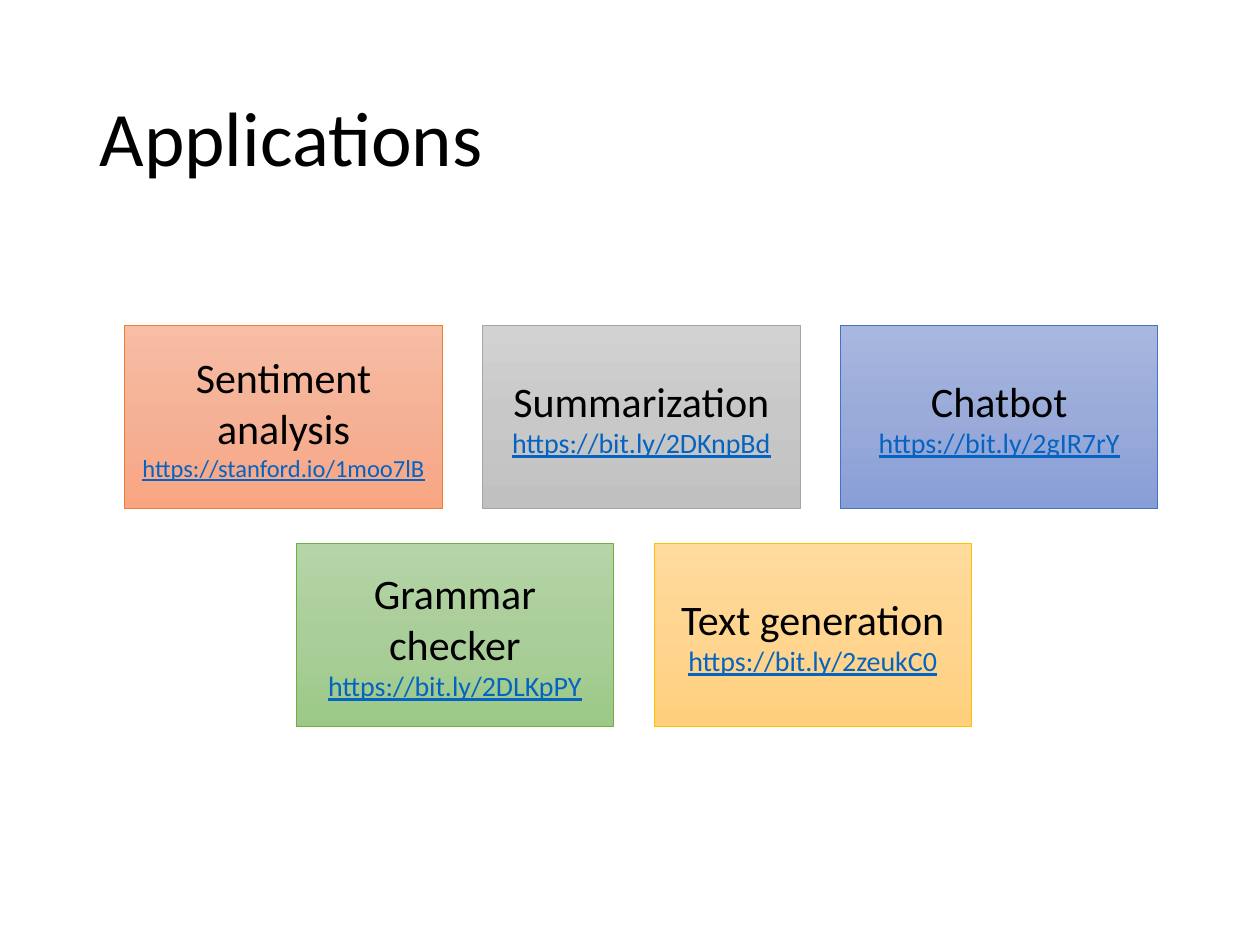
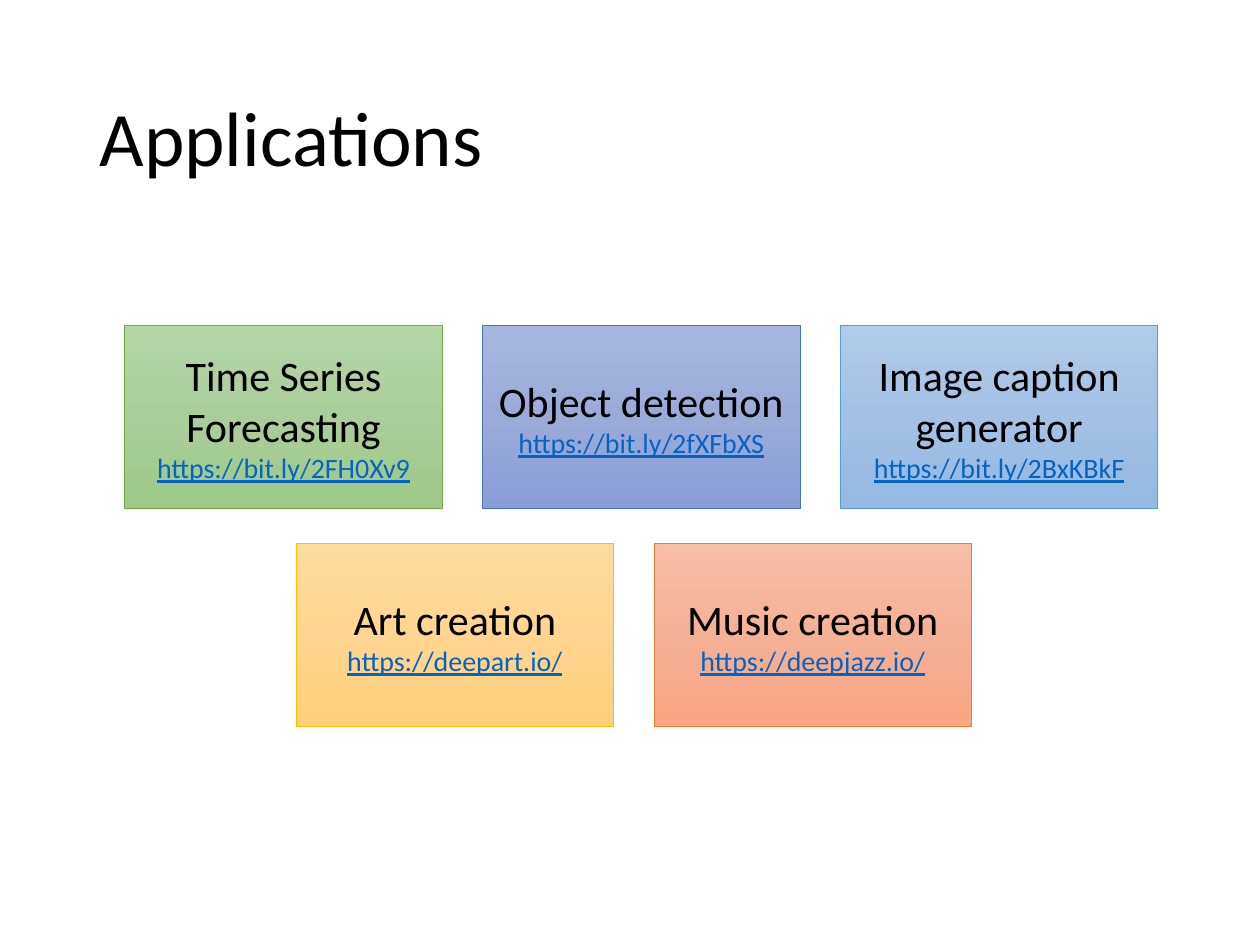
"""Build two slides of application cards with web addresses."""
import copy
import dataclasses
import typing

import pptx
import pptx.dml.color
import pptx.enum.shapes
import pptx.enum.text
import pptx.oxml.ns
import pptx.slide
import pptx.text.text
import pptx.util

Inches = pptx.util.Inches
Pt = pptx.util.Pt
RGB = pptx.dml.color.RGBColor.from_string
ALIGN = pptx.enum.text.PP_ALIGN
MIDDLE = pptx.enum.text.MSO_ANCHOR.MIDDLE


@dataclasses.dataclass(frozen=True)
class Tint:
    line: str
    stops: tuple[str, str, str]


@dataclasses.dataclass(frozen=True)
class Theme:
    font: str = "Calibri"
    text: str = "000000"
    link: str = "0563C1"
    title_size: int = 44
    name_size: int = 24
    link_size: int = 16
    small_link_size: int = 14
    line_width: float = 0.5
    orange: Tint = Tint("ED7D31", ("F7BDA5", "F5B196", "F8A582"))
    gray: Tint = Tint("A5A5A5", ("D2D2D2", "C8C8C8", "C0C0C0"))
    indigo: Tint = Tint("4472C4", ("A8B7DF", "9AABD9", "889ED7"))
    green: Tint = Tint("70AD47", ("B5D5A7", "AACE9A", "9CC987"))
    gold: Tint = Tint("FFC000", ("FFDB9E", "FFD590", "FFD07C"))
    blue: Tint = Tint("5B9BD5", ("B1CBE9", "A3C1E5", "93B9E4"))


@dataclasses.dataclass(frozen=True)
class Card:
    name: str
    link: str
    tint: Tint
    link_size: int = Theme.link_size


@dataclasses.dataclass(frozen=True)
class Row:
    left: float
    top: float
    count: int


THEME = Theme()
CARD_WIDTH, CARD_HEIGHT, CARD_PITCH = 2.52, 1.46, 2.84
ROWS = (Row(0.99, 2.58, 3), Row(2.35, 4.31, 2))
TITLE = "Applications"
TITLE_FRAME = {
    "left": Inches(0.69), "top": Inches(0.4),
    "width": Inches(8.62), "height": Inches(1.45),
}
FRAME_FORMAT = {
    "word_wrap": True,
    "vertical_anchor": MIDDLE,
    "auto_size": pptx.enum.text.MSO_AUTO_SIZE.NONE,
}
SLIDES = (
    (
        Card("Sentiment analysis", "https://stanford.io/1moo7lB", THEME.orange,
             THEME.small_link_size),
        Card("Summarization", "https://bit.ly/2DKnpBd", THEME.gray),
        Card("Chatbot", "https://bit.ly/2gIR7rY", THEME.indigo),
        Card("Grammar checker", "https://bit.ly/2DLKpPY", THEME.green),
        Card("Text generation", "https://bit.ly/2zeukC0", THEME.gold),
    ),
    (
        Card("Time Series Forecasting", "https://bit.ly/2FH0Xv9", THEME.green),
        Card("Object detection", "https://bit.ly/2fXFbXS", THEME.indigo),
        Card("Image caption generator", "https://bit.ly/2BxKBkF", THEME.blue),
        Card("Art creation", "https://deepart.io/", THEME.gold),
        Card("Music creation", "https://deepjazz.io/", THEME.orange),
    ),
)


def apply_format(target: typing.Any, values: dict[str, typing.Any]) -> None:
    for name, value in values.items():
        setattr(target, name, value)


def write(para: pptx.text.text._Paragraph, text: str, size: int, color: str,
          alignment: ALIGN, underline: bool = False) -> None:
    para.alignment = alignment
    span = para.add_run()
    span.text = text
    apply_format(span.font, {"name": THEME.font, "size": Pt(size), "underline": underline})
    span.font.color.rgb = RGB(color)


def add_title(page: pptx.slide.Slide, text: str) -> None:
    box = page.shapes.title
    apply_format(box, TITLE_FRAME)
    apply_format(box.text_frame, FRAME_FORMAT)
    para = box.text_frame.paragraphs[0]
    para.line_spacing = 0.9
    write(para, text, THEME.title_size, THEME.text, ALIGN.LEFT)


def paint(box: typing.Any, tint: Tint) -> None:
    box.shadow.inherit = False
    box.fill.gradient()
    box.fill.gradient_angle = 270
    stop_list = box._element.spPr.find(".//" + pptx.oxml.ns.qn("a:gsLst"))
    stop_list.append(copy.deepcopy(stop_list[0]))
    for index, (stop, color) in enumerate(zip(box.fill.gradient_stops, tint.stops)):
        stop.position = index / 2
        stop.color.rgb = RGB(color)
    box.line.color.rgb = RGB(tint.line)
    box.line.width = Pt(THEME.line_width)


def add_card(page: pptx.slide.Slide, card: Card, left: float, top: float) -> None:
    box = page.shapes.add_shape(
        pptx.enum.shapes.MSO_SHAPE.RECTANGLE,
        Inches(left), Inches(top), Inches(CARD_WIDTH), Inches(CARD_HEIGHT),
    )
    paint(box, card.tint)
    frame = box.text_frame
    apply_format(frame, FRAME_FORMAT)
    write(frame.paragraphs[0], card.name, THEME.name_size, THEME.text, ALIGN.CENTER)
    write(frame.add_paragraph(), card.link, card.link_size, THEME.link, ALIGN.CENTER, True)


def main() -> None:
    deck = pptx.Presentation()
    apply_format(deck, {"slide_width": Inches(10), "slide_height": Inches(7.5)})
    spots = [(row.left + column * CARD_PITCH, row.top)
             for row in ROWS for column in range(row.count)]
    for cards in SLIDES:
        page = deck.slides.add_slide(deck.slide_layouts.get_by_name("Title Only"))
        add_title(page, TITLE)
        for card, (left, top) in zip(cards, spots):
            add_card(page, card, left, top)
    deck.save("out.pptx")


if __name__ == "__main__":
    main()
